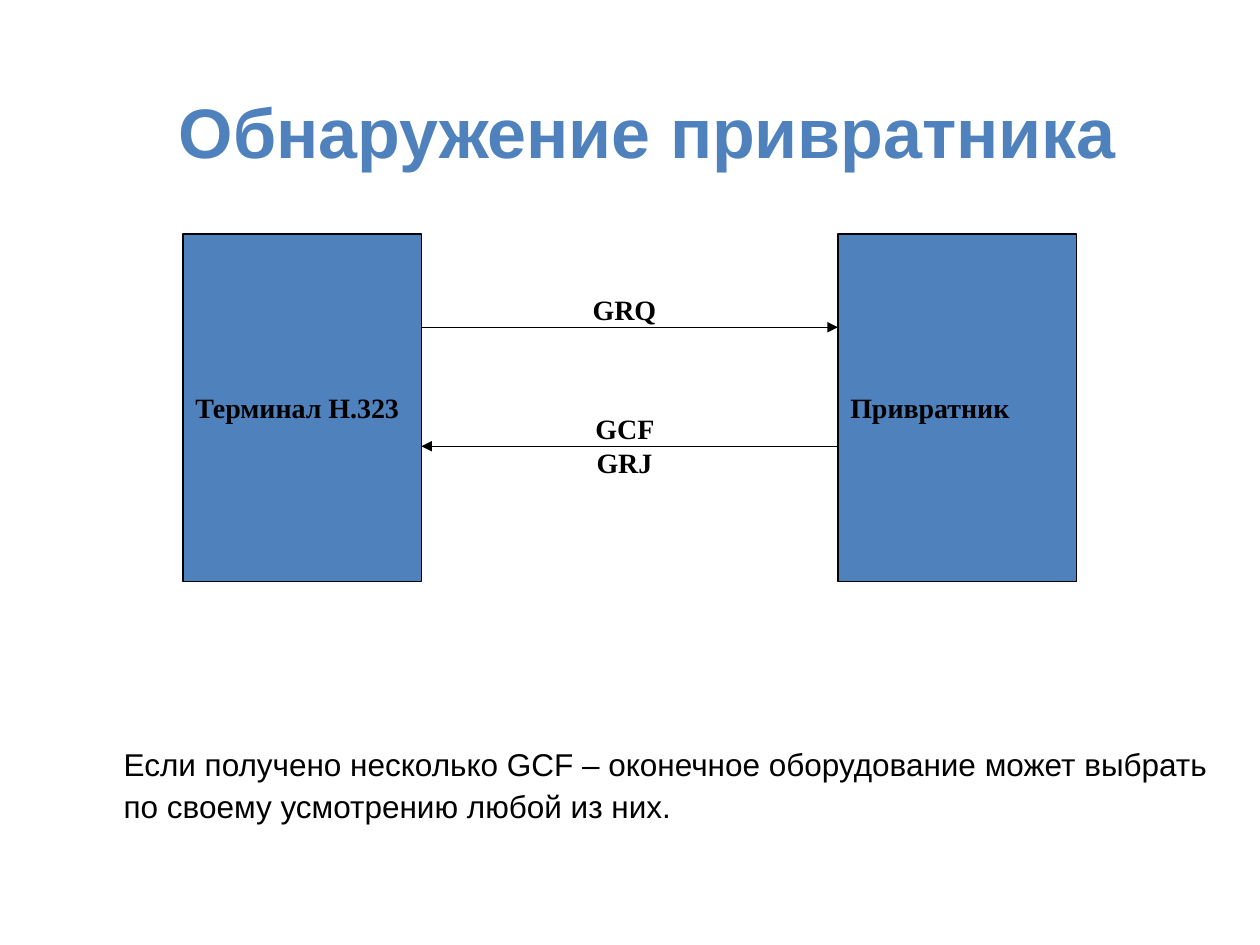
"""Build the gatekeeper discovery slide: two nodes exchanging messages."""
from dataclasses import dataclass

from lxml.etree import SubElement
from pptx import Presentation
from pptx.dml.color import RGBColor
from pptx.enum.shapes import MSO_CONNECTOR, MSO_SHAPE
from pptx.enum.text import MSO_ANCHOR, MSO_AUTO_SIZE, PP_ALIGN
from pptx.oxml.ns import qn
from pptx.slide import Slide
from pptx.text.text import TextFrame
from pptx.util import Pt

COLOURS = {"blue": "4F81BD", "black": "000000"}
NODE_TOP, NODE_WIDTH, NODE_HEIGHT = 133.8, 136.2, 198.4
LABEL_WIDTH, LABEL_RISE = 65, 23.3
LINE_WIDTH = 0.75


@dataclass
class Node:
    name: str
    left: float

    @property
    def right(self) -> float:
        return self.left + NODE_WIDTH


@dataclass
class Message:
    label: str
    start: float
    end: float
    height: float


def colour(name: str) -> RGBColor:
    return RGBColor.from_string(COLOURS[name])


def write(frame: TextFrame, text: str, *, size: float, font: str = "Times New Roman",
          ink: str = "black", bold: bool = True, align: PP_ALIGN = PP_ALIGN.CENTER,
          anchor: MSO_ANCHOR = MSO_ANCHOR.TOP, spacing: float = 1.0) -> None:
    frame.word_wrap = True
    frame.auto_size = MSO_AUTO_SIZE.NONE
    frame.vertical_anchor = anchor
    para = frame.paragraphs[0]
    para.alignment = align
    para.space_before = Pt(0)
    para.line_spacing = spacing
    span = para.add_run()
    span.text = text
    span.font.name = font
    span.font.size = Pt(size)
    span.font.bold = bold
    span.font.color.rgb = colour(ink)


def place(box, left: float, top: float, width: float, height: float) -> None:
    box.left, box.top, box.width, box.height = map(Pt, (left, top, width, height))


def draw_node(page: Slide, node: Node) -> None:
    box = page.shapes.add_shape(MSO_SHAPE.RECTANGLE, Pt(node.left), Pt(NODE_TOP),
                                Pt(NODE_WIDTH), Pt(NODE_HEIGHT))
    box.shadow.inherit = False
    box.fill.solid()
    box.fill.fore_color.rgb = colour("blue")
    box.line.color.rgb = colour("black")
    box.line.width = Pt(LINE_WIDTH)
    write(box.text_frame, node.name, size=16, align=PP_ALIGN.LEFT, anchor=MSO_ANCHOR.MIDDLE)


def draw_message(page: Slide, message: Message) -> None:
    arrow = page.shapes.add_connector(MSO_CONNECTOR.STRAIGHT, Pt(message.start),
                                      Pt(message.height), Pt(message.end), Pt(message.height))
    arrow.line.color.rgb = colour("black")
    arrow.line.width = Pt(LINE_WIDTH)
    SubElement(arrow.line._get_or_add_ln(), qn("a:tailEnd"), type="triangle")
    SubElement(arrow._element.spPr, qn("a:effectLst"))
    middle = (message.start + message.end) / 2
    label = page.shapes.add_textbox(Pt(middle - LABEL_WIDTH / 2 - 3),
                                    Pt(message.height - LABEL_RISE), Pt(LABEL_WIDTH),
                                    Pt(7.2 + 18.4 * len(message.label.split())))
    write(label.text_frame, message.label, size=16)


def main() -> None:
    deck = Presentation()
    deck.slide_width, deck.slide_height = Pt(720), Pt(540)
    page = deck.slides.add_slide(deck.slide_layouts[1])

    terminal = Node("Терминал Н.323", 104.6)
    gatekeeper = Node("Привратник", 478.8)
    for node in (terminal, gatekeeper):
        draw_node(page, node)
    for message in (Message("GRQ", terminal.right, gatekeeper.left, 187),
                    Message("GCF GRJ", gatekeeper.left, terminal.right, 255)):
        draw_message(page, message)

    title = page.shapes.title
    place(title, 42.5, 47, 655, 50)
    write(title.text_frame, "Обнаружение привратника", size=40, font="Arial", ink="blue")

    body = page.placeholders[1]
    place(body, 5, 420, 695, 102)
    properties = body.text_frame.paragraphs[0]._p.get_or_add_pPr()
    properties.set("marL", str(Pt(58.5)))
    properties.set("indent", "0")
    SubElement(properties, qn("a:buNone"))
    write(body.text_frame, "Если получено несколько GCF – оконечное оборудование может выбрать "
          "по своему усмотрению любой из них.", size=18, font="Arial", bold=False,
          align=PP_ALIGN.LEFT, spacing=1.1)
    deck.save("out.pptx")


if __name__ == "__main__":
    main()
